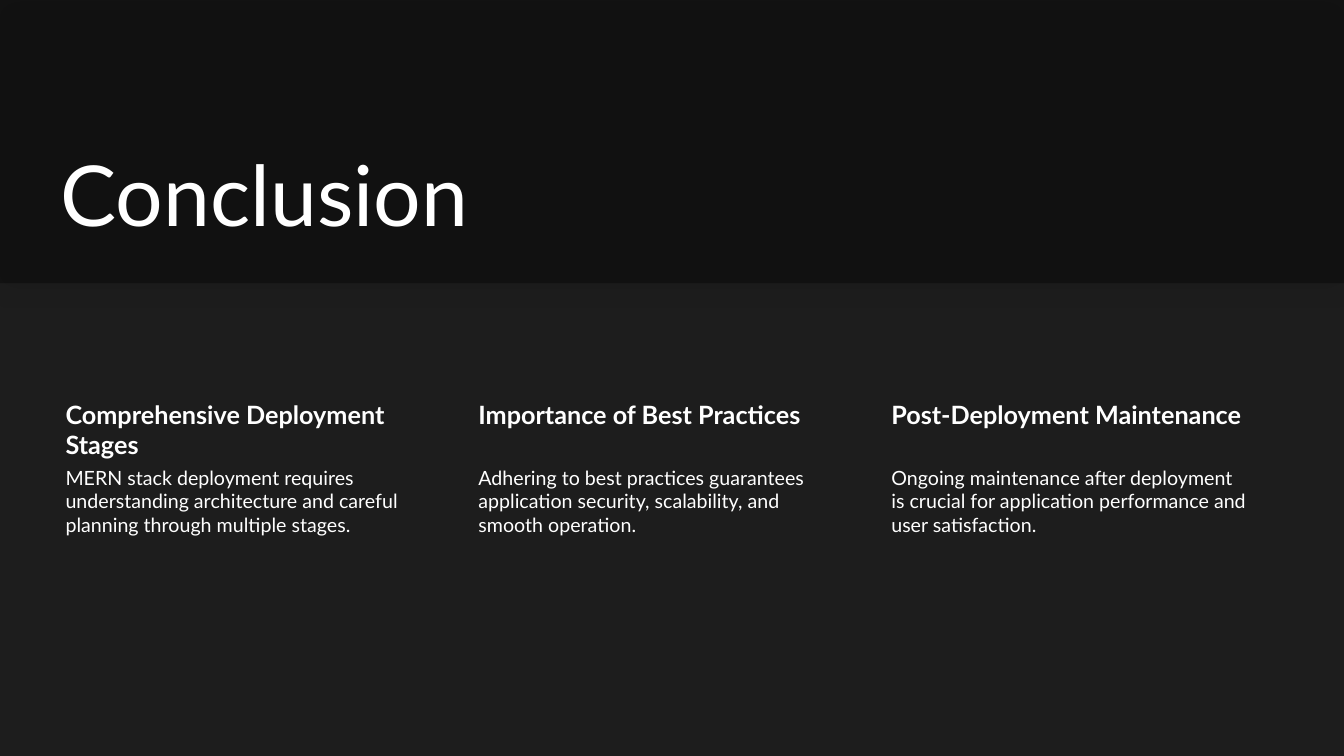
from lxml import etree
from pptx import Presentation
from pptx.dml.color import RGBColor
from pptx.enum.shapes import MSO_SHAPE as SHAPE
from pptx.enum.text import MSO_ANCHOR as ANCHOR, MSO_AUTO_SIZE as AUTO, PP_ALIGN as ALIGN
from pptx.oxml import parse_xml
from pptx.oxml.ns import nsdecls, qn
from pptx.util import Inches, Pt


def rgb(value):
    return RGBColor.from_string(value)


def write(tf, text, size, bold=False):
    tf.word_wrap = True
    tf.auto_size = AUTO.NONE
    p = tf.paragraphs[0]
    p.text = text
    p.alignment = ALIGN.LEFT
    p.font.name = "Lato"
    p.font.size = Pt(size)
    p.font.bold = bold
    p.font.color.rgb = rgb("FFFFFF")
    return p


prs = Presentation()
prs.slide_width, prs.slide_height = Inches(13.33), Inches(7.5)
s = prs.slides.add_slide(prs.slide_layouts[5])
s.background.fill.solid()
s.background.fill.fore_color.rgb = rgb("1D1D1D")

# Translucent header band with a soft shadow, behind the title
band = s.shapes.add_shape(SHAPE.RECTANGLE, 0, Inches(-0.01), Inches(13.33), Inches(2.82))
band.fill.solid()
band.fill.fore_color.rgb = rgb("090909")
band.line.fill.background()
band.shadow.inherit = False
sp_pr = band._element.spPr
color = sp_pr.find(qn("a:solidFill")).find(qn("a:srgbClr"))
etree.SubElement(color, qn("a:alpha"), val="50000")
sp_pr.find(qn("a:effectLst")).append(parse_xml(
    f'<a:outerShdw {nsdecls("a")} blurRad="{Pt(18)}" dist="{Pt(2)}" dir="5400000">'
    '<a:srgbClr val="000000"><a:alpha val="15000"/></a:srgbClr></a:outerShdw>'))
s.shapes._spTree.insert(2, band._element)

# Title
title = s.shapes.title
title.left, title.top = Inches(0.5), Inches(0.91)
title.width, title.height = Inches(11.91), Inches(1.57)
title.text_frame.vertical_anchor = ANCHOR.BOTTOM
write(title.text_frame, "Conclusion", 60).line_spacing = 0.9

# Three columns: heading above description
columns = [
    ("Comprehensive Deployment Stages",
     "MERN stack deployment requires understanding architecture and careful "
     "planning through multiple stages."),
    ("Importance of Best Practices",
     "Adhering to best practices guarantees application security, scalability, "
     "and smooth operation."),
    ("Post-Deployment Maintenance",
     "Ongoing maintenance after deployment is crucial for application performance "
     "and user satisfaction."),
]
for i, (heading, description) in enumerate(columns):
    left = Inches(0.5 + 4.095 * i)
    for text, top, height, size, bold, inset in (
            (heading, 3.93, 0.67, 18, True, 0.03),
            (description, 4.6, 2.33, 14, False, 0.02)):
        box = s.shapes.add_textbox(left, Inches(top), Inches(3.72), Inches(height))
        tf = box.text_frame
        tf.margin_left = Inches(0.15)
        tf.margin_top = tf.margin_right = tf.margin_bottom = Inches(inset)
        write(tf, text, size, bold)

prs.save("out.pptx")
